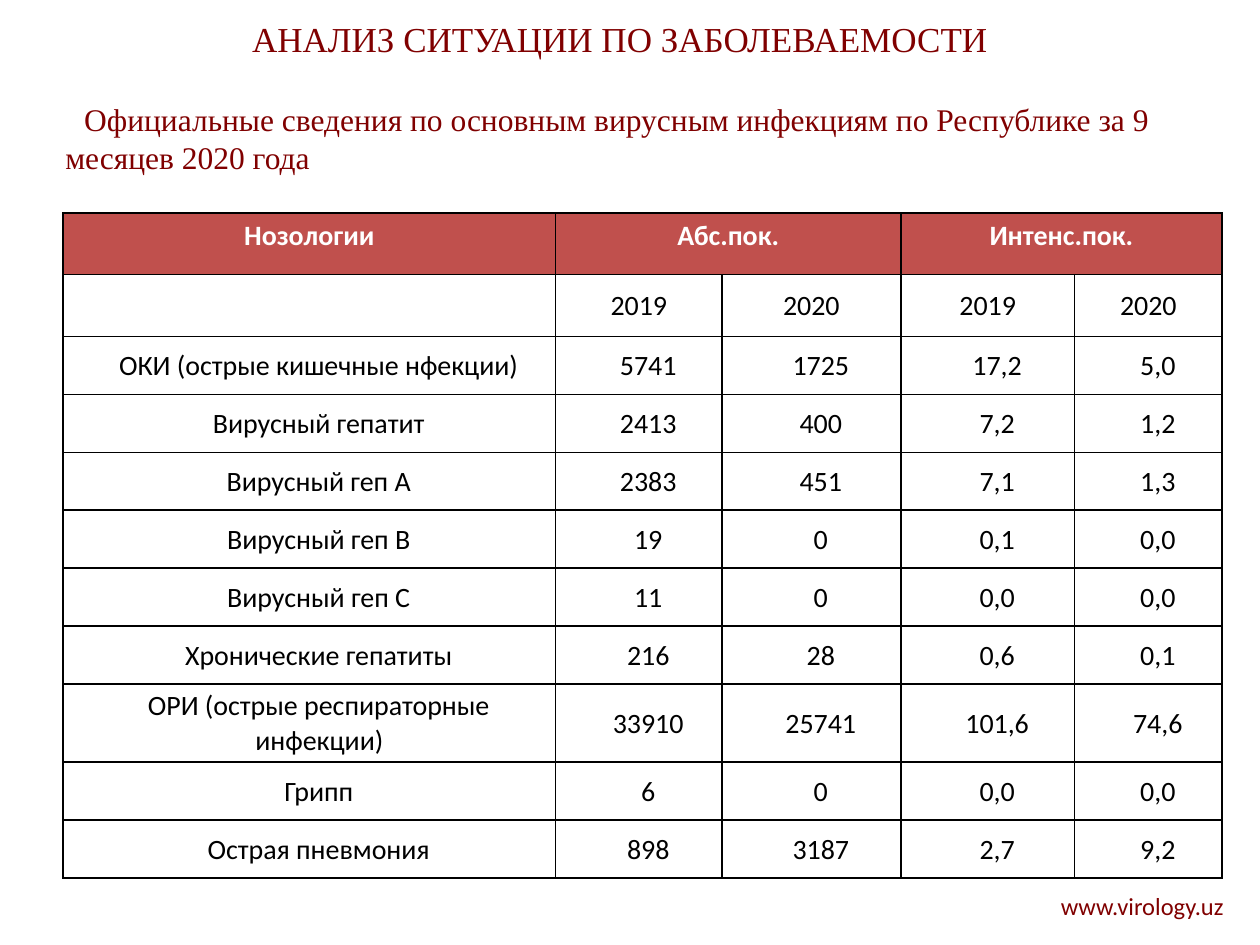
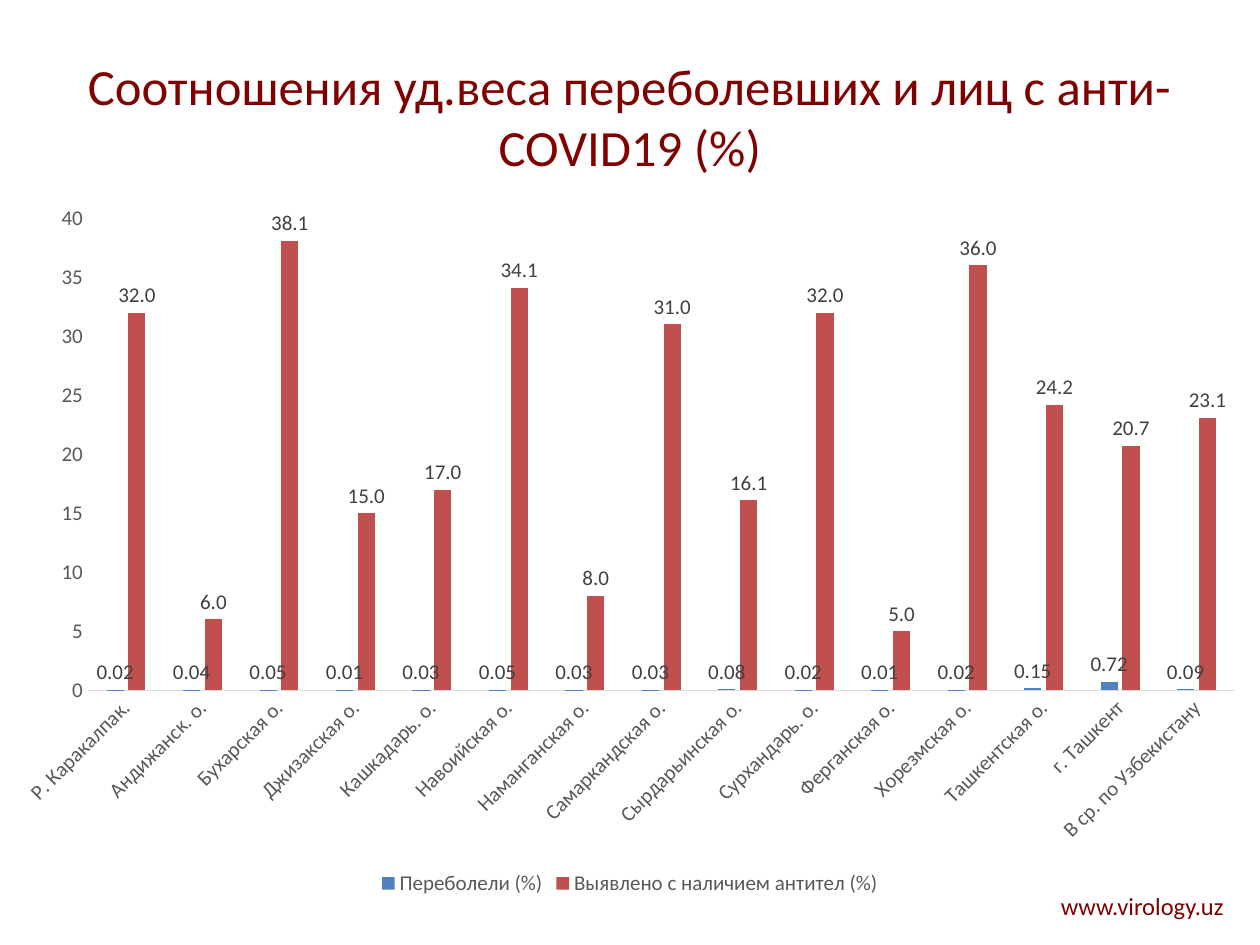
"""Build two slides on viral disease incidence: a table and a column chart."""
from lxml.etree import SubElement
from pptx import Presentation
from pptx.chart.data import CategoryChartData
from pptx.dml.color import RGBColor
from pptx.enum.chart import XL_CHART_TYPE as ChartType
from pptx.enum.chart import XL_LABEL_POSITION as LabelPosition
from pptx.enum.chart import XL_LEGEND_POSITION as LegendPosition
from pptx.enum.chart import XL_TICK_MARK as TickMark
from pptx.enum.text import MSO_ANCHOR as Anchor
from pptx.enum.text import PP_ALIGN as Align
from pptx.oxml.ns import qn
from pptx.util import Inches, Pt

MAROON = RGBColor(0x80, 0x00, 0x00)
RED = RGBColor(0xC0, 0x50, 0x4D)
BLUE = RGBColor(0x4F, 0x81, 0xBD)
BLACK = RGBColor(0x00, 0x00, 0x00)
WHITE = RGBColor(0xFF, 0xFF, 0xFF)
AXIS_GREY = RGBColor(0x59, 0x59, 0x59)
LABEL_GREY = RGBColor(0x40, 0x40, 0x40)
LINE_GREY = RGBColor(0xD9, 0xD9, 0xD9)
SANS, SERIF = "Calibri", "Times New Roman"


def style_font(font, size, color, name=SANS, bold=False):
    for key, value in {"size": Pt(size), "name": name, "bold": bold}.items():
        setattr(font, key, value)
    font.color.rgb = color


def add_text(slide, place, lines, anchor=Anchor.TOP):
    box = slide.shapes.add_textbox(*(Inches(length) for length in place))
    frame = box.text_frame
    frame.word_wrap = True
    frame.vertical_anchor = anchor
    for number, (text, size, name, align) in enumerate(lines):
        para = frame.add_paragraph() if number else frame.paragraphs[0]
        para.alignment = align
        span = para.add_run()
        span.text = text
        style_font(span.font, size, MAROON, name)
    return frame


deck = Presentation()
deck.slide_width, deck.slide_height = Inches(10), Inches(7.5)
table_page, chart_page = [deck.slides.add_slide(deck.slide_layouts[6]) for _ in range(2)]
for page in (table_page, chart_page):
    add_text(page, (5.42, 7.02, 4.39, 0.34), [("www.virology.uz", 14, SANS, Align.RIGHT)])

heading = add_text(table_page, (0.42, 0.09, 9, 1.4), [
    ("АНАЛИЗ СИТУАЦИИ ПО ЗАБОЛЕВАЕМОСТИ", 20, SERIF, Align.CENTER),
    ("Официальные сведения по основным вирусным инфекциям по Республике за 9 месяцев 2020 года",
     18, SERIF, Align.LEFT),
])
subtitle = heading.paragraphs[1]
subtitle.space_before = Pt(23)
subtitle.line_spacing = Pt(21.7)
subtitle._p.get_or_add_pPr().set("indent", str(Inches(0.15)))

incidence_rows = [
    ("Нозологии", "Абс.пок.", "", "Интенс.пок.", ""),
    ("", "2019", "2020", "2019", "2020"),
    ("ОКИ (острые кишечные нфекции)", "5741", "1725", "17,2", "5,0"),
    ("Вирусный гепатит", "2413", "400", "7,2", "1,2"),
    ("Вирусный геп А", "2383", "451", "7,1", "1,3"),
    ("Вирусный геп В", "19", "0", "0,1", "0,0"),
    ("Вирусный геп С", "11", "0", "0,0", "0,0"),
    ("Хронические гепатиты", "216", "28", "0,6", "0,1"),
    ("ОРИ (острые респираторные инфекции)", "33910", "25741", "101,6", "74,6"),
    ("Грипп", "6", "0", "0,0", "0,0"),
    ("Острая пневмония", "898", "3187", "2,7", "9,2"),
]
column_widths = [3.91, 1.32, 1.42, 1.38, 1.17]
row_heights = [0.49] * 2 + [0.46] * 6 + [0.62] + [0.46] * 2
table = table_page.shapes.add_table(
    len(row_heights), len(column_widths),
    Inches(0.5), Inches(1.69), Inches(9.19), Inches(5.28)).table
for column, width in zip(table.columns, column_widths):
    column.width = Inches(width)
for row, height in zip(table.rows, row_heights):
    row.height = Inches(height)

body_margins = {"margin_left": 0.07, "margin_right": 0.07, "margin_top": 0, "margin_bottom": 0}
for row_index, values in enumerate(incidence_rows):
    is_header, is_body = row_index == 0, row_index > 1
    for column_index, value in enumerate(values):
        cell = table.cell(row_index, column_index)
        para = cell.text_frame.paragraphs[0]
        para.alignment = Align.CENTER
        if value:
            span = para.add_run()
            span.text = value
            style_font(span.font, 16, WHITE if is_header else BLACK, bold=is_header)
        cell.vertical_anchor = Anchor.TOP if is_header else Anchor.MIDDLE
        if is_body:
            for side, margin in body_margins.items():
                setattr(cell, side, Inches(margin))
            para.line_spacing = 1.03
            properties = para._p.get_or_add_pPr()
            properties.set("marL", str(Inches(0.16)))
            properties.set("indent", str(Inches(-0.01)))
        cell_properties = cell._tc.get_or_add_tcPr()
        for edge in ("a:lnL", "a:lnR", "a:lnT", "a:lnB"):
            border = SubElement(cell_properties, qn(edge), w=str(Pt(1)))
            paint = SubElement(border, qn("a:solidFill"))
            SubElement(paint, qn("a:srgbClr"), val=str(BLACK))
        cell.fill.solid()
        cell.fill.fore_color.rgb = RED if is_header else WHITE
for first in (1, 3):
    table.cell(0, first).merge(table.cell(0, first + 1))

add_text(chart_page, (0.5, 0.21, 9, 1.42), [
    ("Соотношения уд.веса переболевших и лиц с анти-COVID19 (%)", 29, SANS, Align.CENTER),
], Anchor.MIDDLE)

data = CategoryChartData()
data.categories = [
    "Р. Каракалпак.", "Андижанск. о.", "Бухарская о.", "Джизакская о.", "Кашкадарь. о.",
    "Навоийская о.", "Наманганская о.", "Самаркандская о.", "Сырдарьинская о.",
    "Сурхандарь. о.", "Ферганская о.", "Хорезмская о.", "Ташкентская о.", "г. Ташкент",
    "В ср. по Узбекистану",
]
data.add_series("Переболели (%)", [
    0.02, 0.04, 0.05, 0.01, 0.03, 0.05, 0.03, 0.03, 0.08, 0.02, 0.01, 0.02, 0.15, 0.72, 0.09])
data.add_series("Выявлено с наличием антител (%)", [
    32, 6, 38.1, 15, 17, 34.1, 8, 31, 16.1, 32, 5, 36, 24.2, 20.7, 23.1])
chart = chart_page.shapes.add_chart(
    ChartType.COLUMN_CLUSTERED, 0, Inches(1.52), Inches(10), Inches(5.63), data).chart
style_font(chart.font, 10, BLACK)
chart.has_title = False
chart.has_legend = True
chart.legend.position = LegendPosition.BOTTOM
chart.legend.include_in_layout = False
style_font(chart.legend.font, 12, AXIS_GREY)

plot = chart.plots[0]
for key, value in {"gap_width": 219, "overlap": -27, "vary_by_categories": False}.items():
    setattr(plot, key, value)
for series, color, number_format in zip(plot.series, (BLUE, RED), ("General", "0.0")):
    series.format.fill.solid()
    series.format.fill.fore_color.rgb = color
    labels = series.data_labels
    label_format = {"show_value": True, "position": LabelPosition.OUTSIDE_END,
                    "number_format": number_format, "number_format_is_linked": False}
    for key, value in label_format.items():
        setattr(labels, key, value)
    style_font(labels.font, 12, LABEL_GREY)

region_axis, percent_axis = chart.category_axis, chart.value_axis
for axis in (region_axis, percent_axis):
    axis.major_tick_mark = axis.minor_tick_mark = TickMark.NONE
    axis.has_major_gridlines = False
    style_font(axis.tick_labels.font, 12, AXIS_GREY)
region_axis.format.line.color.rgb = LINE_GREY
region_axis.format.line.width = Pt(0.75)
region_axis._element.find(qn("c:txPr")).find(qn("a:bodyPr")).set("rot", "-2700000")
percent_axis.format.line.fill.background()
for key, value in {"minimum_scale": 0, "maximum_scale": 40, "major_unit": 5}.items():
    setattr(percent_axis, key, value)

deck.save("out.pptx")
